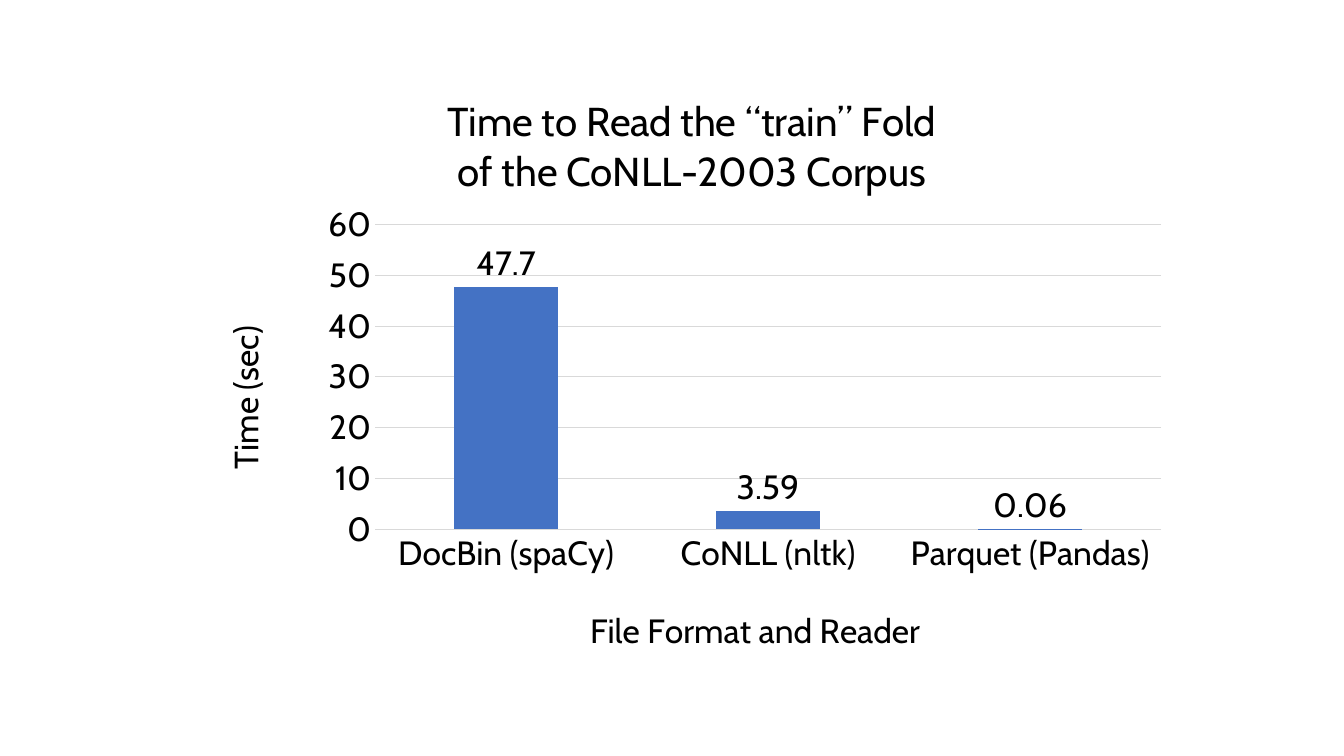
from lxml.etree import SubElement
from pptx import Presentation
from pptx.chart.data import CategoryChartData
from pptx.dml.color import RGBColor
from pptx.enum.chart import XL_CHART_TYPE, XL_LABEL_POSITION, XL_TICK_MARK
from pptx.oxml import parse_xml
from pptx.oxml.ns import nsdecls, qn
from pptx.util import Emu, Pt

PX = 9144000 // 1008
THEME = {
    "font": "Cabin",
    "text": RGBColor.from_string("000000"),
    "bar": RGBColor.from_string("4472C4"),
    "grid": RGBColor.from_string("D9D9D9"),
    "title_size": Pt(28.8),
    "body_size": Pt(24),
    "line_width": Pt(0.75),
}


def style_font(font, size=THEME["body_size"]):
    for name, value in {"name": THEME["font"], "size": size, "bold": False}.items():
        setattr(font, name, value)
    font.color.rgb = THEME["text"]


def place(parent, after, **values):
    for old in parent.findall(qn("c:layout")):
        parent.remove(old)
    layout = parse_xml(f"<c:layout {nsdecls('c')}><c:manualLayout/></c:layout>")
    for tag, value in values.items():
        SubElement(layout[0], qn(f"c:{tag}")).set("val", str(value))
    if after is None:
        parent.insert(0, layout)
    else:
        after.addnext(layout)


deck = Presentation()
deck.slide_width, deck.slide_height = Emu(1344 * PX), Emu(756 * PX)
page = deck.slides.add_slide(deck.slide_layouts[6])

data = CategoryChartData(number_format="General")
data.categories = ["DocBin (spaCy)", "CoNLL (nltk)", "Parquet (Pandas)"]
data.add_series("Series 1", [47.7, 3.59, 0.06])
frame = [Emu(length * PX) for length in (186, 69, 995, 598)]
chart = page.shapes.add_chart(XL_CHART_TYPE.COLUMN_STACKED, *frame, data).chart
chart.has_legend = False
style_font(chart.font)

category_axis, value_axis = chart.category_axis, chart.value_axis
titles = [
    (chart, "chart_title", "Time to Read the “train” Fold\nof the CoNLL-2003 Corpus", "title_size", 0.26, 0.04),
    (category_axis, "axis_title", "File Format and Reader", "body_size", 0.4, 0.89),
    (value_axis, "axis_title", "Time (sec)", "body_size", 0.03, 0.42),
]
for owner, kind, words, size, x, y in titles:
    title = getattr(owner, kind)
    title.text_frame.text = words
    for para in title.text_frame.paragraphs:
        for span in para.runs:
            style_font(span.font, THEME[size])
    element = title.text_frame._txBody.getparent().getparent()
    place(element, element.find(qn("c:tx")), xMode="edge", yMode="edge", x=x, y=y)

for axis in (category_axis, value_axis):
    axis.major_tick_mark = axis.minor_tick_mark = XL_TICK_MARK.NONE
    style_font(axis.tick_labels.font)
category_axis.has_major_gridlines = False
value_axis.has_major_gridlines = True
for line in (category_axis.format.line, value_axis.major_gridlines.format.line):
    line.color.rgb = THEME["grid"]
    line.width = THEME["line_width"]
value_axis.format.line.fill.background()
for name, value in {"minimum_scale": 0, "maximum_scale": 60, "major_unit": 10}.items():
    setattr(value_axis, name, value)

plot = chart.plots[0]
for name, value in {"gap_width": 150, "overlap": 100, "vary_by_categories": False}.items():
    setattr(plot, name, value)
series = plot.series[0]
series.format.fill.solid()
series.format.fill.fore_color.rgb = THEME["bar"]
label_format = {
    "show_value": True,
    "position": XL_LABEL_POSITION.INSIDE_END,
    "number_format": "General",
    "number_format_is_linked": False,
}
for name, value in label_format.items():
    setattr(series.data_labels, name, value)
style_font(series.data_labels.font)
for index in range(len(series.values)):
    label = series.points[index].data_label
    style_font(label.font)
    label.position = XL_LABEL_POSITION.INSIDE_END

space = chart._chartSpace
for label in space.iter(qn("c:dLbl")):
    place(label, label.find(qn("c:idx")), x=0, y=-0.08)
place(
    next(space.iter(qn("c:plotArea"))), None, layoutTarget="inner",
    xMode="edge", yMode="edge", x=0.19, y=0.26, w=0.79, h=0.51,
)

deck.save("out.pptx")
